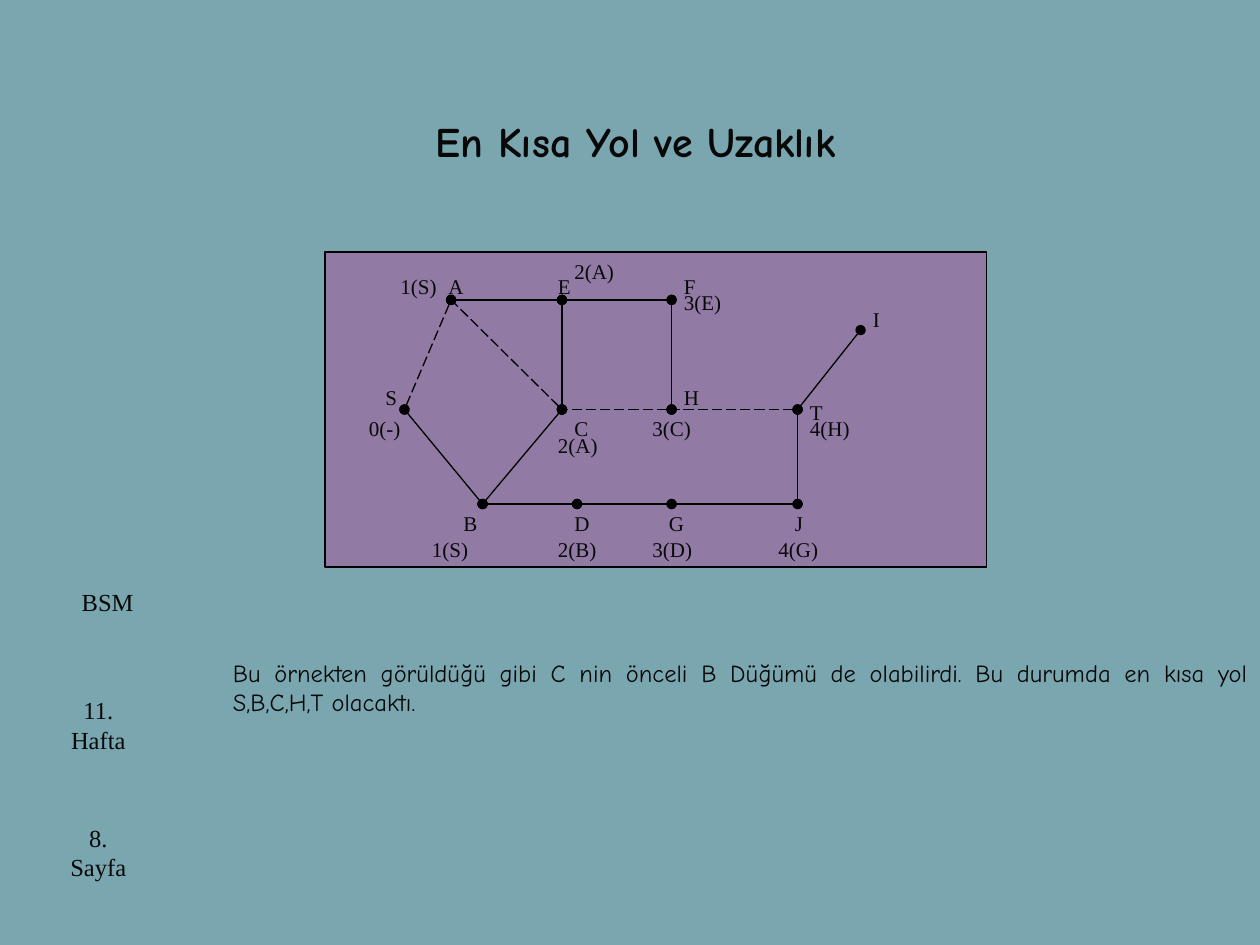
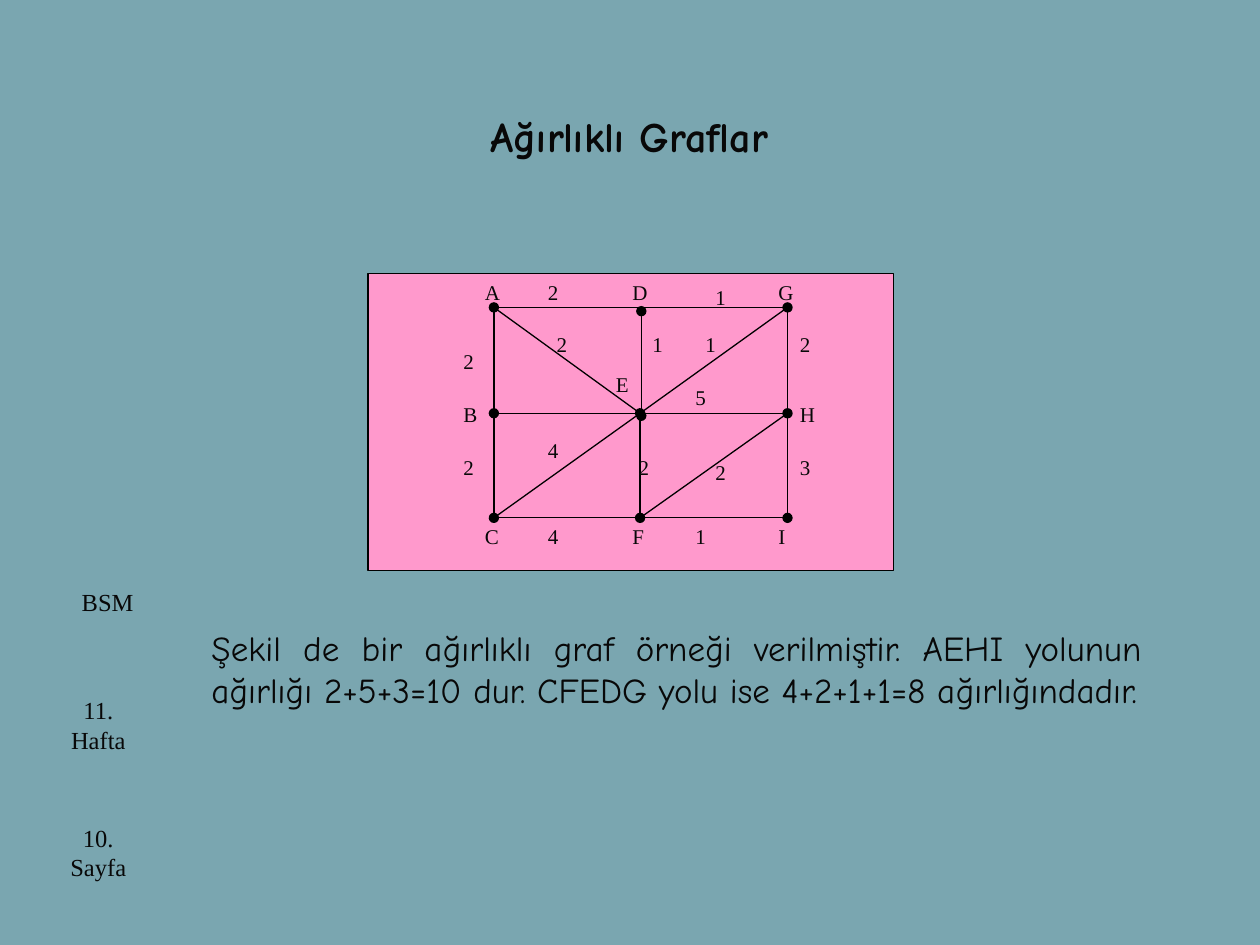
from dataclasses import dataclass
from itertools import product

from lxml.etree import SubElement
from pptx import Presentation
from pptx.dml.color import RGBColor
from pptx.enum.dml import MSO_LINE_DASH_STYLE as Dash
from pptx.enum.shapes import MSO_CONNECTOR as Connector, MSO_SHAPE as Shape
from pptx.enum.text import PP_ALIGN as Align
from pptx.oxml.ns import qn
from pptx.slide import Slide
from pptx.util import Inches, Pt

BACKGROUND = RGBColor(0x7A, 0xA6, 0xB0)
PURPLE = RGBColor(0x91, 0x7A, 0xA4)
PINK = RGBColor(0xFF, 0x99, 0xCC)
BLACK = RGBColor(0, 0, 0)
INK = RGBColor(0x08, 0x08, 0x08)

SERIF = "Times New Roman"
HAND = "Comic Neue"
LINE_WIDTH = Pt(0.75)

Point = tuple[float, float]
Box = tuple[float, float, float, float]


@dataclass(frozen=True)
class Label:
    text: str
    left: float
    top: float


@dataclass(frozen=True)
class Graph:
    """Edges are written as pairs of node names, such as "AE"."""
    panel: Box
    fill: RGBColor
    nodes: dict[str, Point]
    edges: str
    dotted: str
    dashed: str
    labels: list[Label]
    label_size: Point


@dataclass(frozen=True)
class Lesson:
    title: str
    title_box: Box
    title_inset: float
    graph: Graph
    body: str
    body_box: Box
    body_size: int
    page: int


PATH_EDGES = "AE EF FH HC CA CE CB BS SA BD DG GJ JT TH TI"

SHORTEST_PATH = Graph(
    panel=(2.58, 2, 5.25, 2.5),
    fill=PURPLE,
    nodes={
        "A": (3.58, 2.38), "E": (4.46, 2.38), "F": (5.33, 2.38),
        "S": (3.21, 3.25), "C": (4.46, 3.25), "H": (5.33, 3.25),
        "T": (6.33, 3.25), "I": (6.83, 2.62),
        "B": (3.83, 4), "D": (4.58, 4), "G": (5.33, 4), "J": (6.33, 4),
    },
    edges=PATH_EDGES,
    dotted=PATH_EDGES,
    dashed="SA CA HC TH",
    labels=[
        Label("A", 3.46, 2.12), Label("1(S)", 3.08, 2.12),
        Label("E", 4.33, 2.12), Label("2(A)", 4.46, 2),
        Label("F", 5.33, 2.12), Label("3(E)", 5.33, 2.25),
        Label("S", 2.96, 3), Label("0(-)", 2.83, 3.25),
        Label("C", 4.46, 3.25), Label("2(A)", 4.33, 3.38),
        Label("H", 5.33, 3), Label("3(C)", 5.08, 3.25),
        Label("T", 6.33, 3.12), Label("4(H)", 6.33, 3.25),
        Label("I", 6.83, 2.38),
        Label("B", 3.58, 4), Label("1(S)", 3.33, 4.21),
        Label("D", 4.46, 4), Label("2(B)", 4.33, 4.21),
        Label("G", 5.21, 4), Label("3(D)", 5.08, 4.21),
        Label("J", 6.21, 4), Label("4(G)", 6.08, 4.21),
    ],
    label_size=(0.62, 0.62),
)

# Nodes A to I run down the columns; the edge "de" lies just beside D and E.
GRID_NODES = dict(zip("ABCDEFGHI", product((3.92, 5.08, 6.25), (2.44, 3.28, 4.11))))

WEIGHTED = Graph(
    panel=(2.92, 2.17, 4.17, 2.36),
    fill=PINK,
    nodes=GRID_NODES | {"d": (5.09, 2.47), "e": (5.09, 3.3)},
    edges="AD DG GH HE EB BA BC CF FE FI IH ed EG EA EC FH",
    dotted="GH BA FI ed EC",
    dashed="",
    labels=[
        Label("A", 3.75, 2.17), Label("D", 4.92, 2.17), Label("G", 6.08, 2.17),
        Label("B", 3.58, 3.14), Label("E", 4.79, 2.9), Label("H", 6.25, 3.14),
        Label("C", 3.75, 4.11), Label("F", 4.92, 4.11), Label("I", 6.08, 4.11),
        Label("2", 4.25, 2.17), Label("1", 5.58, 2.21),
        Label("2", 3.58, 2.72), Label("2", 4.32, 2.58), Label("1", 5.08, 2.58),
        Label("1", 5.5, 2.58), Label("2", 6.25, 2.58), Label("5", 5.42, 3),
        Label("2", 3.58, 3.56), Label("4", 4.25, 3.42), Label("2", 4.97, 3.56),
        Label("2", 5.58, 3.6), Label("3", 6.25, 3.56),
        Label("4", 4.25, 4.11), Label("1", 5.42, 4.11),
    ],
    label_size=(0.83, 0.56),
)

LESSONS = [
    Lesson(
        title="En Kısa Yol ve Uzaklık",
        title_box=(2.21, 0.75, 5.67, 1.01),
        title_inset=0.17,
        graph=SHORTEST_PATH,
        body="Bu örnekten görüldüğü gibi C nin önceli B Düğümü de olabilirdi. "
             "Bu durumda en kısa yol S,B,C,H,T olacaktı.",
        body_box=(1.75, 5.17, 8.25, 0.8),
        body_size=14,
        page=8,
    ),
    Lesson(
        title="Ağırlıklı Graflar",
        title_box=(3.12, 0.83, 3.75, 0.5),
        title_inset=0.05,
        graph=WEIGHTED,
        body="Şekil de bir ağırlıklı graf örneği verilmiştir. AEHI yolunun "
             "ağırlığı 2+5+3=10 dur. CFEDG yolu ise 4+2+1+1=8 ağırlığındadır.",
        body_box=(1.58, 4.92, 7.58, 1.43),
        body_size=20,
        page=10,
    ),
]


def add_text(slide: Slide, text: str, box: Box, *, size: int, font: str = SERIF,
             bold: bool = False, align: Align = Align.LEFT,
             top_inset: float = 0.05) -> None:
    frame = slide.shapes.add_textbox(*map(Inches, box)).text_frame
    frame.word_wrap = True
    frame.margin_top = Inches(top_inset)
    paragraph = frame.paragraphs[0]
    paragraph.alignment = align
    run = paragraph.add_run()
    run.text = text
    run.font.name = font
    run.font.size = Pt(size)
    run.font.bold = bold
    run.font.color.rgb = INK


def add_panel(slide: Slide, box: Box, fill: RGBColor) -> None:
    panel = slide.shapes.add_shape(Shape.RECTANGLE, *map(Inches, box))
    panel.shadow.inherit = False
    panel.fill.solid()
    panel.fill.fore_color.rgb = fill
    panel.line.color.rgb = BLACK
    panel.line.width = LINE_WIDTH


def add_edge(slide: Slide, start: Point, end: Point, dotted: bool, dashed: bool) -> None:
    """Draw an edge; a dotted one carries a node dot at both ends."""
    edge = slide.shapes.add_connector(Connector.STRAIGHT, *map(Inches, start + end))
    edge.line.color.rgb = BLACK
    edge.line.width = LINE_WIDTH
    if dashed:
        edge.line.dash_style = Dash.LONG_DASH
    properties = edge._element.spPr
    if dotted:
        for tag in ("a:headEnd", "a:tailEnd"):
            SubElement(properties.find(qn("a:ln")), qn(tag), type="oval")
    SubElement(properties, qn("a:effectLst"))


def add_graph(slide: Slide, graph: Graph) -> None:
    add_panel(slide, graph.panel, graph.fill)
    dotted, dashed = graph.dotted.split(), graph.dashed.split()
    for edge in graph.edges.split():
        start, end = (graph.nodes[name] for name in edge)
        add_edge(slide, start, end, edge in dotted, edge in dashed)
    for label in graph.labels:
        add_text(slide, label.text, (label.left, label.top, *graph.label_size), size=12)


def add_side_notes(slide: Slide, page: int) -> None:
    add_text(slide, "BSM", (0.55, 4.61, 0.62, 0.34), size=14)
    add_text(slide, "11. Hafta", (0.39, 5.47, 0.78, 0.7), size=14, align=Align.CENTER)
    add_text(slide, f"{page}. Sayfa", (0.39, 6.48, 0.78, 0.62), size=14, align=Align.CENTER)


def add_lesson(slide: Slide, lesson: Lesson) -> None:
    add_graph(slide, lesson.graph)
    add_text(slide, lesson.title, lesson.title_box, size=24, font=HAND, bold=True,
             align=Align.CENTER, top_inset=lesson.title_inset)
    add_text(slide, lesson.body, lesson.body_box, size=lesson.body_size, font=HAND,
             align=Align.JUSTIFY)
    add_side_notes(slide, lesson.page)


def main() -> None:
    deck = Presentation()
    deck.slide_width, deck.slide_height = Inches(10), Inches(7.5)
    backdrop = deck.slide_master.background.fill
    backdrop.solid()
    backdrop.fore_color.rgb = BACKGROUND
    blank = deck.slide_layouts[6]
    for lesson in LESSONS:
        add_lesson(deck.slides.add_slide(blank), lesson)
    deck.save("out.pptx")


if __name__ == "__main__":
    main()
